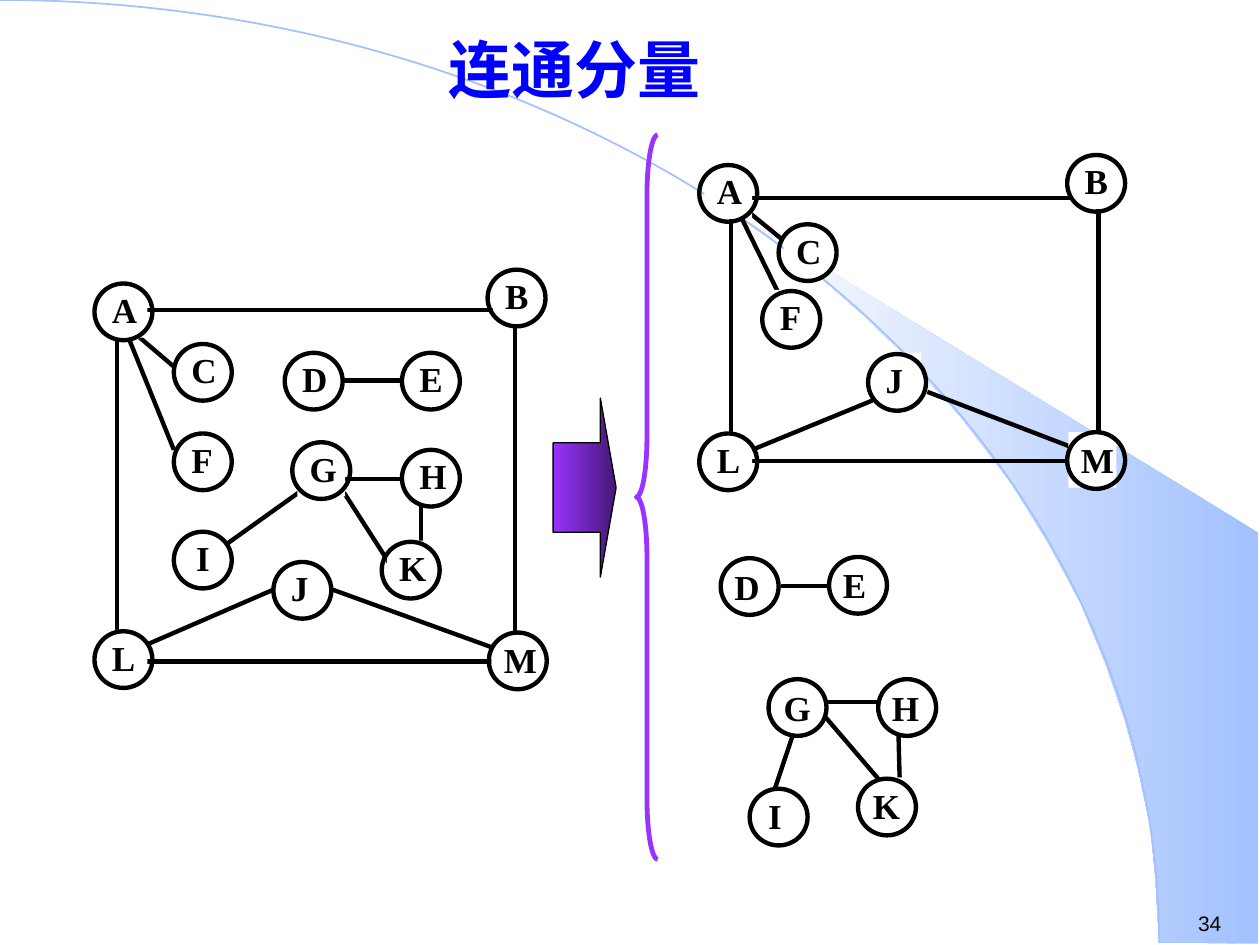
from typing import NamedTuple

from lxml.etree import SubElement
from pptx import Presentation
from pptx.dml.color import RGBColor
from pptx.enum.shapes import MSO_CONNECTOR as Connector
from pptx.enum.shapes import MSO_SHAPE as Shape
from pptx.enum.text import MSO_ANCHOR as Anchor
from pptx.enum.text import PP_ALIGN as Align
from pptx.oxml.ns import qn
from pptx.util import Inches, Pt

COLORS = {
    "black": "000000",
    "white": "FFFFFF",
    "title": "0000FF",
    "purple": "9933FF",
    "dark_purple": "461775",
    "sky": "A2C1FE",
    "near_white": "FEFEFE",
}
RING_WIDTH, RING_HEIGHT = 0.46, 0.45
LABEL_WIDTH, LABEL_HEIGHT = 0.38, 0.44


class Node(NamedTuple):
    """Ring position, and the offset of the label box from it."""
    name: str
    left: float
    top: float
    label_dx: float = 0.04
    label_dy: float = -0.01


class Edge(NamedTuple):
    x1: float
    y1: float
    x2: float
    y2: float


BEAM = [
    (9.2, 7.48), (9.99, 7.49), (9.99, 4.23), (5.89, 1.73), (6.24, 1.99),
    (6.53, 2.22), (6.85, 2.5), (7.16, 2.8), (7.62, 3.3), (8.03, 3.84),
    (8.32, 4.31), (8.58, 4.79), (8.78, 5.28), (8.93, 5.72), (9.03, 6.09),
    (9.13, 6.56), (9.17, 6.96),
]

WHOLE_GRAPH_EDGES = [
    Edge(1.11, 2.46, 3.91, 2.46),  # A-B
    Edge(0.93, 2.68, 0.93, 5.03),  # A-L
    Edge(1.11, 2.68, 1.38, 2.91),  # A-C
    Edge(1.02, 2.68, 1.38, 3.57),  # A-F
    Edge(2.73, 3.02, 3.19, 3.02),  # D-E
    Edge(2.73, 3.8, 3.19, 3.8),    # G-H
    Edge(2.37, 3.91, 1.74, 4.36),  # G-I
    Edge(3.34, 3.98, 3.34, 4.29),  # H-K
    Edge(2.73, 3.91, 3.09, 4.47),  # G-K
    Edge(1.11, 5.25, 3.91, 5.25),  # L-M
    Edge(4.09, 2.57, 4.09, 5.03),  # B-M
    Edge(1.11, 5.14, 2.17, 4.68),  # L-J
    Edge(2.64, 4.68, 3.91, 5.14),  # J-M
]
COMPONENT_EDGES = [
    Edge(6.2, 4.65, 6.62, 4.65),   # D-E
    Edge(6.55, 5.57, 6.97, 5.57),  # G-H
    Edge(6.3, 5.81, 6.14, 6.29),   # G-I
    Edge(7.13, 5.79, 7.14, 6.17),  # H-K
    Edge(6.55, 5.69, 6.97, 6.18),  # G-K
    Edge(5.97, 1.57, 8.56, 1.57),  # A-B
    Edge(5.8, 1.74, 5.8, 3.49),    # A-L
    Edge(5.95, 1.69, 6.22, 1.91),  # A-C
    Edge(5.89, 1.74, 6.22, 2.41),  # A-F
    Edge(5.97, 3.66, 8.56, 3.66),  # L-M
    Edge(8.72, 1.66, 8.72, 3.49),  # B-M
    Edge(5.97, 3.57, 6.97, 3.16),  # L-J
    Edge(7.36, 3.11, 8.56, 3.57),  # J-M
]
WHOLE_GRAPH_NODES = [
    Node("B", 3.87, 2.14), Node("A", 0.75, 2.25), Node("E", 3.19, 2.8),
    Node("J", 2.17, 4.46), Node("K", 3.03, 4.3), Node("G", 2.32, 3.51),
    Node("L", 0.75, 5.01), Node("M", 3.88, 5.02, 0.02, 0),
    Node("D", 2.26, 2.8), Node("I", 1.38, 4.22), Node("F", 1.38, 3.44),
    Node("C", 1.38, 2.73), Node("H", 3.19, 3.57),
]
COMPONENT_NODES = [
    Node("A", 5.55, 1.31), Node("L", 5.55, 3.44), Node("J", 6.89, 2.81),
    Node("C", 6.18, 1.78), Node("F", 6.05, 2.31), Node("B", 8.47, 1.23),
    Node("M", 8.47, 3.43, 0.01, 0),
    Node("D", 5.72, 4.43, 0.01, 0.01), Node("E", 6.58, 4.42, 0.01, 0),
    Node("K", 6.81, 6.18, 0.02, 0), Node("I", 5.95, 6.26, 0.01, 0),
    Node("H", 6.97, 5.39, 0.01, 0.01), Node("G", 6.1, 5.39, 0.02, 0.01),
]


def rgb(color: str) -> RGBColor:
    return RGBColor.from_string(COLORS[color])


def set_line(shape, color: str, width: float) -> None:
    shape.line.color.rgb = rgb(color)
    shape.line.width = Pt(width)


def set_gradient(shape, first: str, last: str) -> None:
    """Run the gradient from the right edge to the left edge."""
    shape.fill.gradient()
    shape.fill.gradient_angle = 180
    for stop, color in zip(shape.fill.gradient_stops, (first, last)):
        stop.color.rgb = rgb(color)


def add_preset(slide, kind: Shape, left: float, top: float, width: float, height: float):
    """Add a preset shape with no shadow, fill or line."""
    shape = slide.shapes.add_shape(
        kind, Inches(left), Inches(top), Inches(width), Inches(height))
    shape.shadow.inherit = False
    shape.fill.background()
    shape.line.fill.background()
    return shape


def write(shape, text: str, size: float, color: str, font: str = "Times New Roman",
          bold: bool = True, align: Align = Align.LEFT, anchor: Anchor = Anchor.TOP) -> None:
    frame = shape.text_frame
    frame.text = text
    frame.word_wrap = True
    frame.vertical_anchor = anchor
    paragraph = frame.paragraphs[0]
    paragraph.alignment = align
    run_font = paragraph.runs[0].font
    run_font.name, run_font.size, run_font.bold = font, Pt(size), bold
    run_font.color.rgb = rgb(color)


def add_background(slide) -> None:
    builder = slide.shapes.build_freeform(Inches(BEAM[0][0]), Inches(BEAM[0][1]))
    builder.add_line_segments([(Inches(x), Inches(y)) for x, y in BEAM[1:]], close=True)
    beam = builder.convert_to_shape()
    beam.shadow.inherit = False
    beam.line.fill.background()
    set_gradient(beam, "sky", "near_white")
    set_line(add_preset(slide, Shape.ARC, -9.2, 0, 18.4, 14.97), "sky", 1)


def add_edge(slide, edge: Edge) -> None:
    connector = slide.shapes.add_connector(
        Connector.STRAIGHT, *(Inches(value) for value in edge))
    set_line(connector, "black", 2.5)
    SubElement(connector._element.spPr, qn("a:effectLst"))


def add_node(slide, node: Node) -> None:
    label = add_preset(slide, Shape.RECTANGLE, node.left + node.label_dx,
                       node.top + node.label_dy, LABEL_WIDTH, LABEL_HEIGHT)
    label.fill.solid()
    label.fill.fore_color.rgb = rgb("white")
    write(label, node.name, 20, "black",
          align=Align.CENTER if node.name == "I" else Align.LEFT)
    ring = add_preset(slide, Shape.OVAL, node.left, node.top, RING_WIDTH, RING_HEIGHT)
    set_line(ring, "black", 2.5)


def add_brace_and_arrow(slide) -> None:
    brace = add_preset(slide, Shape.LEFT_BRACE, 5.05, 1.07, 0.17, 5.75)
    brace.adjustments[0], brace.adjustments[1] = 2.82, 0.5
    set_line(brace, "purple", 2.75)
    arrow = add_preset(slide, Shape.RIGHT_ARROW, 4.39, 3.16, 0.5, 1.42)
    arrow.adjustments[0], arrow.adjustments[1] = 0.5, 0.25
    set_gradient(arrow, "dark_purple", "purple")
    set_line(arrow, "black", 0.75)


def main() -> None:
    presentation = Presentation()
    presentation.slide_width, presentation.slide_height = Inches(10), Inches(7.5)
    slide = presentation.slides.add_slide(presentation.slide_layouts[6])

    add_background(slide)
    number = slide.shapes.add_textbox(Inches(9.41), Inches(7.18), Inches(0.59), Inches(0.3))
    write(number, "34", 12, "black", font="Arial", bold=False)
    title = slide.shapes.add_textbox(Inches(0.31), Inches(0.21), Inches(8.5), Inches(0.67))
    write(title, "连通分量", 36, "title", align=Align.CENTER, anchor=Anchor.MIDDLE)

    for edge in WHOLE_GRAPH_EDGES + COMPONENT_EDGES:
        add_edge(slide, edge)
    add_brace_and_arrow(slide)
    for node in WHOLE_GRAPH_NODES + COMPONENT_NODES:
        add_node(slide, node)

    presentation.save("out.pptx")


if __name__ == "__main__":
    main()
